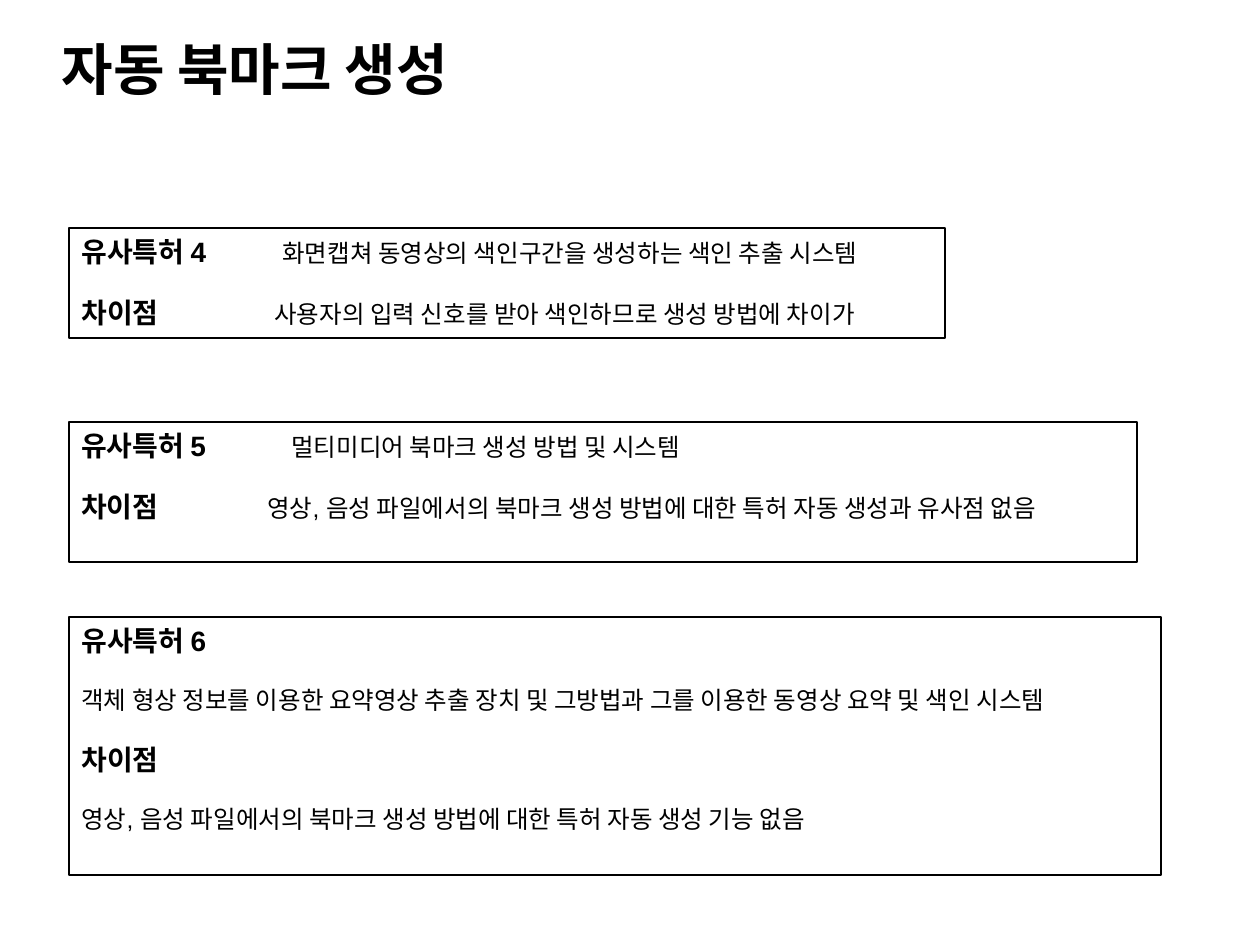
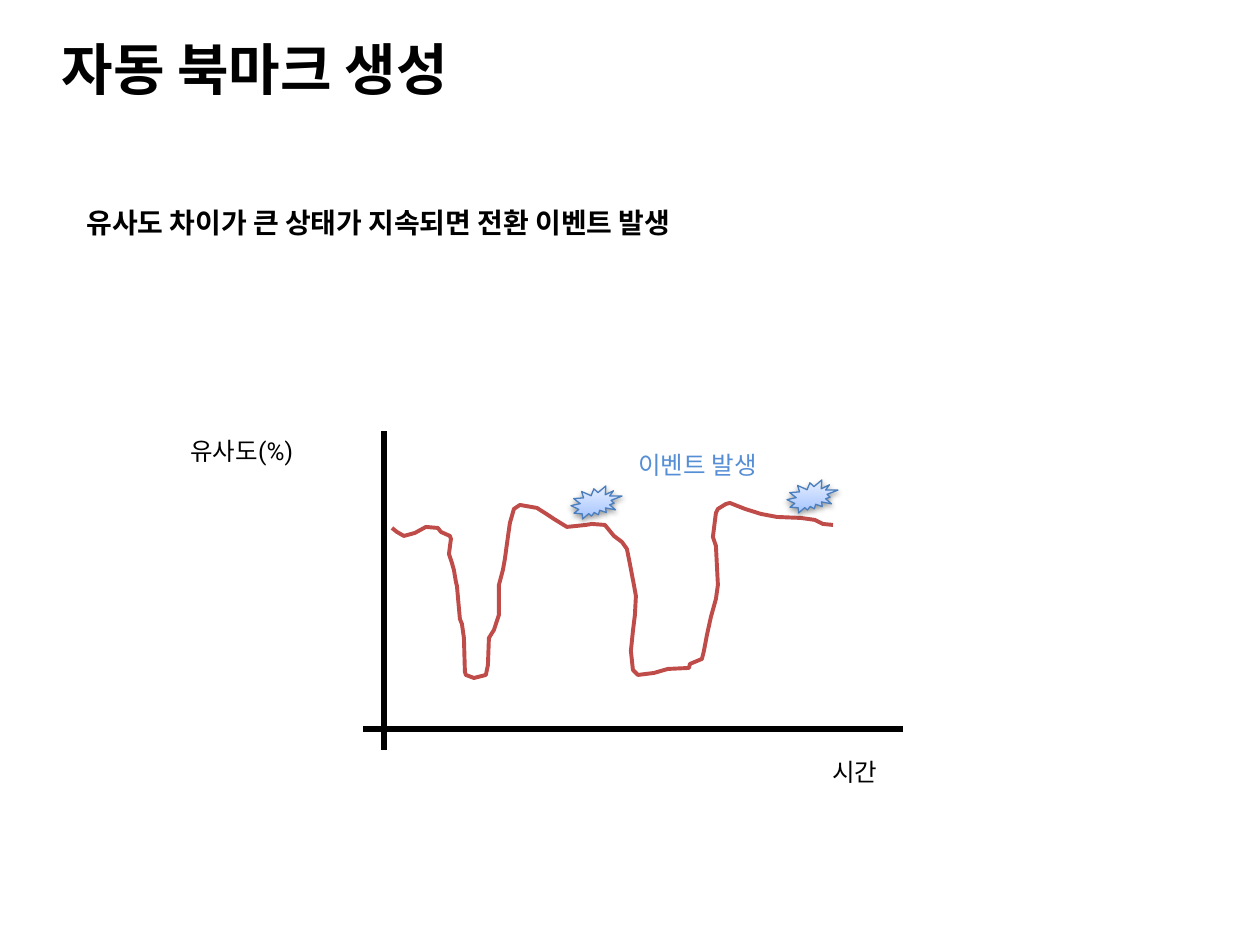
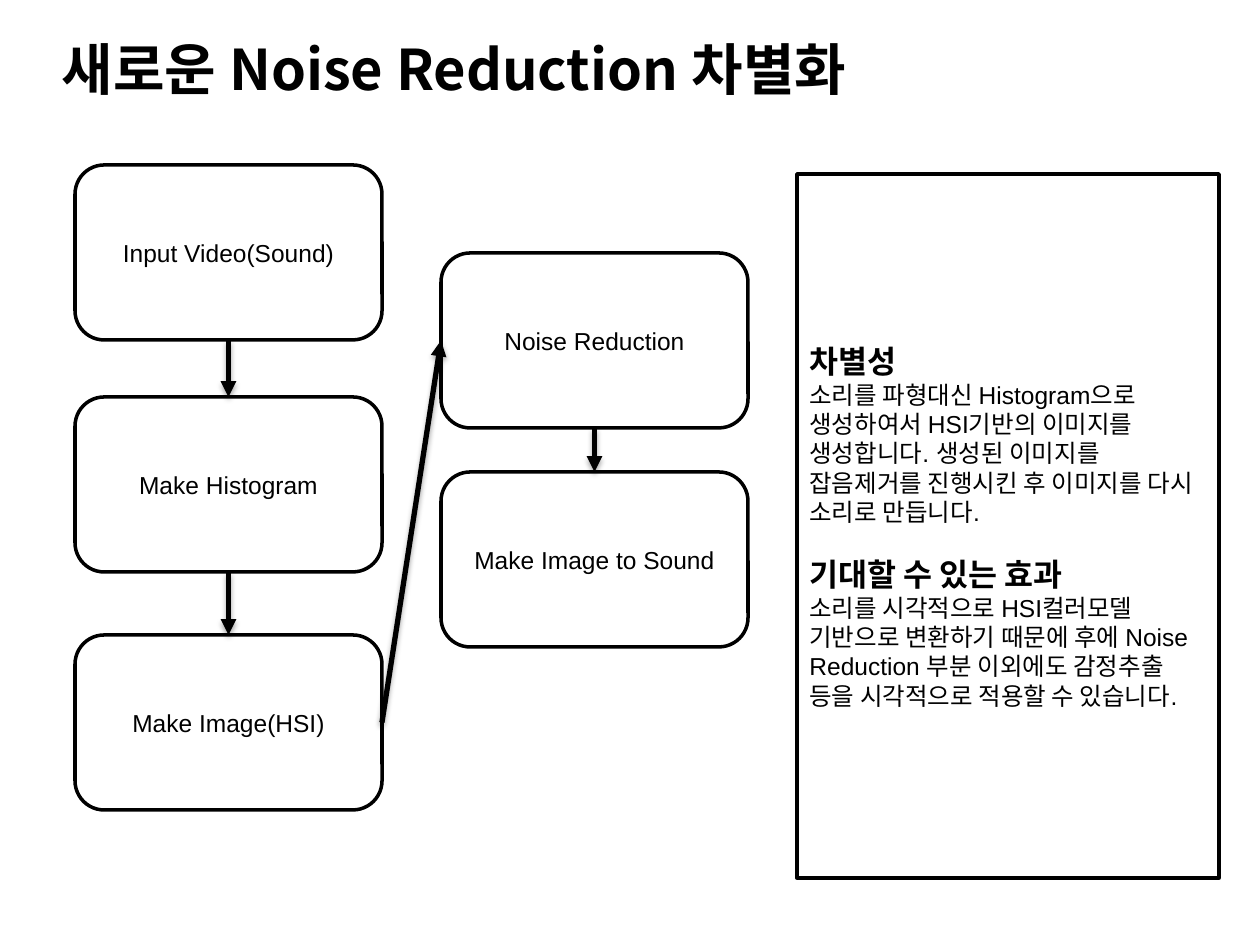
from dataclasses import dataclass

from lxml import etree
from pptx import Presentation
from pptx import util as u
from pptx.dml.color import RGBColor
from pptx.enum import shapes, text
from pptx.oxml.ns import qn

SCALE = 914400 / 126  # EMU in one px
BLACK, RED, BLUE, EDGE = "000000", "BF4C48", "558ED5", "4B7EBC"
PALE, LIGHT = "A4C4FF", "E6EEFF"
TITLE, SANS, LABEL = "Noto Sans CJK KR", "Arial", "Roboto"
BODY, HEAD, LARGE = 14, 16, 18
GAP = 16  # points between spaced rows
KIND = shapes.MSO_SHAPE
LEFT, MID = text.PP_ALIGN.LEFT, text.PP_ALIGN.CENTER
TOP, CENTER = text.MSO_ANCHOR.TOP, text.MSO_ANCHOR.MIDDLE
UPPER, WEST, LOWER, EAST = range(4)  # connection sites of a box

CURVE = [
    (392, 528), (397, 532), (404, 536), (415, 533), (426, 527), (438, 528),
    (441, 532), (450, 536), (451, 539), (449, 554), (452, 563), (454, 570),
    (456, 582), (457, 586), (460, 619), (462, 624), (464, 638), (465, 672),
    (466, 675), (474, 678), (486, 675), (488, 665), (489, 638), (494, 630),
    (499, 615), (499, 585), (503, 570), (505, 559), (507, 544), (510, 523),
    (514, 509), (520, 505), (537, 508), (548, 515), (554, 519), (567, 527),
    (586, 525), (592, 524), (605, 525), (614, 536), (622, 542), (627, 549),
    (630, 564), (634, 585), (636, 596), (635, 615), (633, 631), (631, 651),
    (633, 670), (638, 675), (654, 673), (668, 669), (689, 668), (690, 664),
    (702, 659), (704, 651), (707, 635), (711, 617), (716, 599), (718, 585),
    (716, 546), (713, 537), (716, 513), (718, 509), (726, 504), (730, 503),
    (745, 509), (761, 514), (777, 517), (801, 518), (815, 520), (823, 524),
    (833, 525),
]


@dataclass
class Row:
    """One paragraph: runs of (words, size), space before, tab stop in px."""
    runs: list
    gap: int = 0
    tab: int = 0


def px(*vals):
    return [u.Emu(round(v * SCALE)) for v in vals]


def rgb(code):
    return RGBColor.from_string(code)


def write(shape, rows, font=SANS, color=BLACK, align=LEFT, anchor=TOP):
    frame = shape.text_frame
    frame.word_wrap = True
    frame.auto_size = text.MSO_AUTO_SIZE.NONE
    frame.vertical_anchor = anchor
    for i, row in enumerate(rows):
        para = frame.add_paragraph() if i else frame.paragraphs[0]
        para.alignment = align
        para.space_before = u.Pt(row.gap)
        if row.tab:
            tabs = etree.SubElement(para._p.get_or_add_pPr(), qn("a:tabLst"))
            etree.SubElement(tabs, qn("a:tab"), pos=str(px(row.tab)[0]), algn="l")
        for words, size in row.runs:
            run = para.add_run()
            run.text = words
            run.font.name = font
            run.font.size = u.Pt(size)
            run.font.bold = size > BODY
            run.font.color.rgb = rgb(color)


def stroke(shape, color, width):
    shape.line.color.rgb = rgb(color)
    shape.line.width = u.Pt(width)


def shade(shape, alpha=0, dist=0):
    """Drop the theme's shadow; with alpha (percent), cast one downwards."""
    props = shape._element.spPr
    effect = props.find(qn("a:effectLst"))
    if effect is None:
        effect = etree.SubElement(props, qn("a:effectLst"))
    if alpha:
        cast = etree.SubElement(
            effect, qn("a:outerShdw"), blurRad=str(u.Pt(3.1)),
            dist=str(u.Pt(dist)), dir="5400000", rotWithShape="0")
        tone = etree.SubElement(cast, qn("a:srgbClr"), val=BLACK)
        etree.SubElement(tone, qn("a:alpha"), val=str(alpha * 1000))


def page(deck, title):
    slide = deck.slides.add_slide(deck.slide_layouts[5])
    head = slide.shapes.title
    head.left, head.top, head.width, head.height = px(49, 28, 1134, 80)
    write(head, [Row([(title, 32)])], TITLE, anchor=CENTER)
    return slide


def box(slide, kind, area, width):
    shape = slide.shapes.add_shape(kind, *px(*area))
    shape.shadow.inherit = False
    shape.fill.background()
    stroke(shape, BLACK, width)
    return shape


def label(slide, area, words, size=BODY, color=BLACK):
    shape = slide.shapes.add_textbox(*px(*area))
    write(shape, [Row([(words, size)])], LABEL, color)


def line(slide, ends):
    link = slide.shapes.add_connector(shapes.MSO_CONNECTOR.STRAIGHT, *px(*ends))
    stroke(link, BLACK, 3)
    return link


def arrow(slide, start, out, end, into):
    link = line(slide, (0, 0, 0, 0))
    link.begin_connect(start, out)
    link.end_connect(end, into)
    etree.SubElement(link.line._get_or_add_ln(), qn("a:tailEnd"), type="triangle")
    shade(link, 35, 1.8)


def burst(slide, x, y):
    shape = slide.shapes.add_shape(KIND.EXPLOSION2, *px(x, y, 51, 33))
    shape.shadow.inherit = False
    shape.fill.gradient()
    shape.fill.gradient_angle = 90
    for stop, color in zip(shape.fill.gradient_stops, (PALE, LIGHT)):
        stop.color.rgb = rgb(color)
    stroke(shape, EDGE, 0.75)
    shade(shape, 38, 1.6)


def trace(slide, points):
    pen = slide.shapes.build_freeform(*points[0], scale=SCALE)
    pen.add_line_segments(points[1:], close=False)
    shape = pen.convert_to_shape()
    shape.shadow.inherit = False
    shape.fill.background()
    stroke(shape, RED, 2.25)


def patents(deck):
    slide = page(deck, "자동 북마크 생성")
    diff = ("차이점", HEAD)
    cards = [
        ((228, 876, 110), [
            Row([("유사특허 4", HEAD),
                 ("\t화면캡쳐 동영상의 색인구간을 생성하는 색인 추출 시스템", BODY)], tab=201),
            Row([diff, ("\t사용자의 입력 신호를 받아 색인하므로 생성 방법에 차이가", BODY)],
                GAP, 193)]),
        ((422, 1068, 140), [
            Row([("유사특허 5", HEAD),
                 ("\t멀티미디어 북마크 생성 방법 및 시스템", BODY)], tab=210),
            Row([diff, ("\t영상, 음성 파일에서의 북마크 생성 방법에 대한 특허 "
                        "자동 생성과 유사점 없음", BODY)], GAP, 186)]),
        ((617, 1092, 258), [
            Row([("유사특허 6", HEAD)]),
            Row([("객체 형상 정보를 이용한 요약영상 추출 장치 및 그방법과 "
                  "그를 이용한 동영상 요약 및 색인 시스템", BODY)], GAP),
            Row([diff], GAP),
            Row([("영상, 음성 파일에서의 북마크 생성 방법에 대한 특허 "
                  "자동 생성 기능 없음", BODY)], GAP)]),
    ]
    for (top, wide, high), rows in cards:
        write(box(slide, KIND.RECTANGLE, (69, top, wide, high), 0.75), rows)


def events(deck):
    slide = page(deck, "자동 북마크 생성")
    label(slide, (74, 199, 676, 47),
          "유사도 차이가 큰 상태가 지속되면 전환 이벤트 발생", HEAD)
    for axis in ((363, 729, 903, 729), (384, 750, 384, 431)):
        shade(line(slide, axis))
    trace(slide, CURVE)
    label(slide, (820, 751, 102, 43), "시간")
    label(slide, (178, 430, 131, 43), "유사도(%)")
    burst(slide, 571, 486)
    burst(slide, 787, 480)
    label(slide, (626, 444, 157, 43), "이벤트 발생", color=BLUE)


def flow(deck):
    slide = page(deck, "새로운 Noise Reduction 차별화")
    steps = []
    for x, y, words in (
            (75, 165, "Input Video(Sound)"), (75, 397, "Make Histogram"),
            (75, 635, "Make Image(HSI)"), (441, 253, "Noise Reduction"),
            (441, 472, "Make Image to Sound")):
        step = box(slide, KIND.ROUNDED_RECTANGLE, (x, y, 307, 175), 2)
        write(step, [Row([(words, BODY)])], align=MID, anchor=CENTER)
        steps.append(step)
    for start, end in zip(steps, steps[1:]):
        down = start.left == end.left
        arrow(slide, start, LOWER if down else EAST, end, UPPER if down else WEST)
    panel = box(slide, KIND.RECTANGLE, (797, 174, 422, 704), 2)
    write(panel, [
        Row([("차별성", LARGE)]),
        Row([("소리를 파형대신 Histogram으로 생성하여서 HSI기반의 이미지를 "
              "생성합니다. 생성된 이미지를 잡음제거를 진행시킨 후 이미지를 다시 "
              "소리로 만듭니다.", BODY)]),
        Row([("기대할 수 있는 효과", LARGE)], GAP),
        Row([("소리를 시각적으로 HSI컬러모델 기반으로 변환하기 때문에 후에 Noise "
              "Reduction 부분 이외에도 감정추출 등을 시각적으로 적용할 수 "
              "있습니다.", BODY)]),
    ], anchor=CENTER)


def main():
    deck = Presentation()
    deck.slide_width, deck.slide_height = px(1260, 945)
    patents(deck)
    events(deck)
    flow(deck)
    deck.save("out.pptx")


if __name__ == "__main__":
    main()
